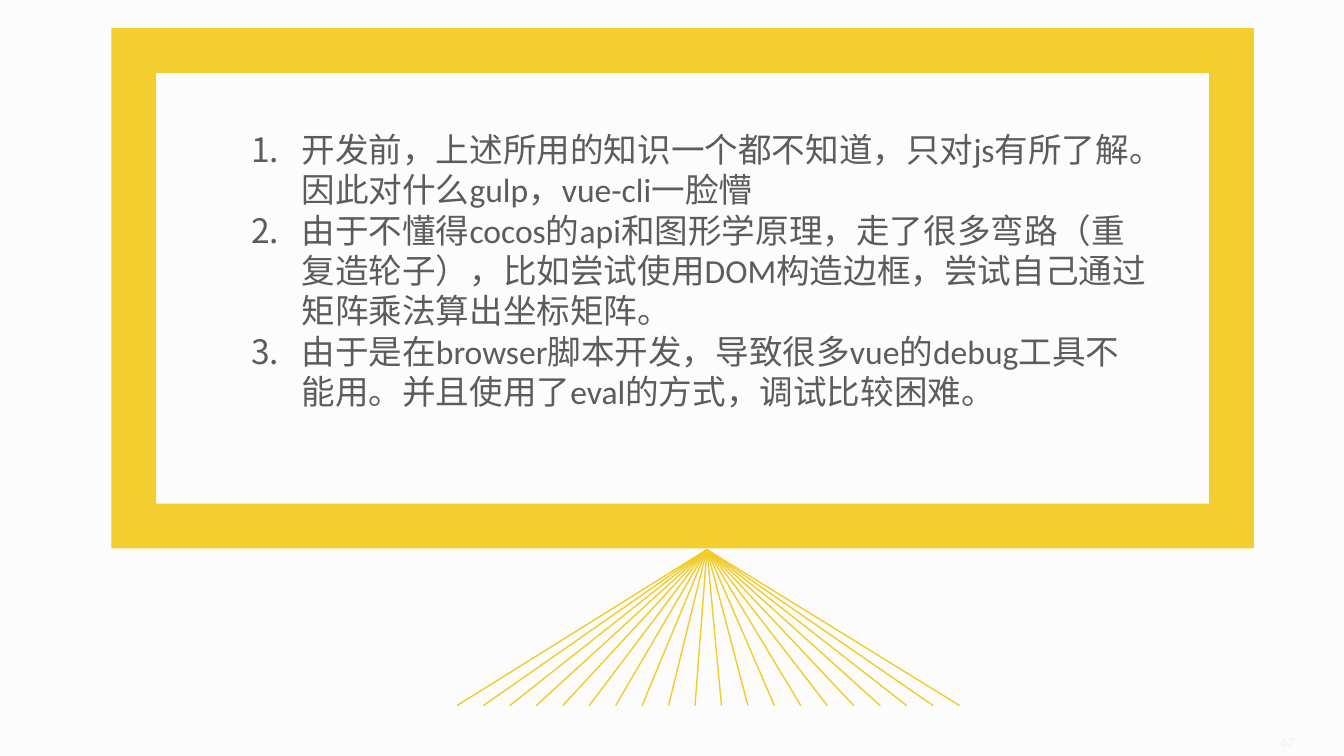
from dataclasses import dataclass

from lxml import etree
from pptx import Presentation
from pptx import util as u
from pptx.dml.color import RGBColor
from pptx.enum import lang, shapes, text
from pptx.oxml import ns


@dataclass(frozen=True)
class Theme:
    """Colours, font and type sizes of the deck."""
    paper: str = "FCFCFC"
    frame: str = "F3CE2F"
    ray: str = "F2CC29"
    ink: str = "5C5C5C"
    faint: str = "EBF5F3"
    font: str = "Calibri"
    body: float = 18
    number: float = 8
    ray_width: float = 0.75
    indent: float = 27


THEME = Theme()
LESSONS = [
    "开发前，上述所用的知识一个都不知道，只对js有所了解。因此对什么gulp，vue-cli一脸懵",
    "由于不懂得cocos的api和图形学原理，走了很多弯路（重复造轮子），比如尝试使用DOM构造边框，尝试自己通过矩阵乘法算出坐标矩阵。",
    "由于是在browser脚本开发，导致很多vue的debug工具不能用。并且使用了eval的方式，调试比较困难。",
]


def colour(value):
    """Turn a hex string into a colour."""
    return RGBColor.from_string(value)


def inches(*values):
    """Turn numbers into lengths."""
    return [u.Inches(value) for value in values]


def write_paragraph(para, content, *, size, ink, align=None, numbered=False):
    """Fill one paragraph, with automatic numbering if asked."""
    para.text = content
    if align is not None:
        para.alignment = align
    if numbered:
        props = para._p.get_or_add_pPr()
        props.set("marL", str(u.Pt(THEME.indent)))
        props.set("indent", str(-u.Pt(THEME.indent)))
        props.set("hangingPunct", "1")
        etree.SubElement(props, ns.qn("a:buFont"), typeface="+mj-lt")
        etree.SubElement(props, ns.qn("a:buAutoNum"), type="arabicPeriod")
    for span in para.runs:
        span.font.name = THEME.font
        span.font.size = u.Pt(size)
        span.font.color.rgb = colour(ink)
        span.font.language_id = lang.MSO_LANGUAGE_ID.SIMPLIFIED_CHINESE


def add_rays(page, left, top, width, height, count=20, apex=1.86):
    """Draw evenly spaced rays from the base of the box to its apex."""
    group = page.shapes.add_group_shape()
    for index in range(count):
        foot = left + width * index / (count - 1)
        ray = group.shapes.add_connector(
            shapes.MSO_CONNECTOR.STRAIGHT,
            *inches(foot, top + height, left + apex, top))
        ray.line.color.rgb = colour(THEME.ray)
        ray.line.width = u.Pt(THEME.ray_width)
        etree.SubElement(ray._element.spPr, ns.qn("a:effectLst"))


def add_board(page, left, top, width, height):
    """Draw the framed board with its numbered lessons."""
    frame = page.shapes.add_shape(
        shapes.MSO_SHAPE.FRAME, *inches(left, top, width, height))
    frame.adjustments[0] = 0.086
    frame.shadow.inherit = False
    frame.fill.solid()
    frame.fill.fore_color.rgb = colour(THEME.frame)
    frame.line.fill.background()

    box = page.shapes.add_textbox(*inches(left + 0.94, top + 0.7, width - 1.64, 2.22))
    box.text_frame.word_wrap = True
    box.text_frame.auto_size = text.MSO_AUTO_SIZE.SHAPE_TO_FIT_TEXT
    for index, lesson in enumerate(LESSONS):
        para = box.text_frame.add_paragraph() if index else box.text_frame.paragraphs[0]
        write_paragraph(para, lesson, size=THEME.body, ink=THEME.ink, numbered=True)


def add_page_number(page, number, left, top, width, height):
    """Centre the page number in its box."""
    box = page.shapes.add_textbox(*inches(left, top, width, height))
    box.text_frame.word_wrap = True
    box.text_frame.vertical_anchor = text.MSO_ANCHOR.MIDDLE
    write_paragraph(box.text_frame.paragraphs[0], number, size=THEME.number,
                    ink=THEME.faint, align=text.PP_ALIGN.CENTER)


def main():
    """Build and save the deck."""
    deck = Presentation()
    deck.slide_width, deck.slide_height = inches(10, 10 * 9 / 16)
    page = deck.slides.add_slide(deck.slide_layouts[6])
    page.background.fill.solid()
    page.background.fill.fore_color.rgb = colour(THEME.paper)
    add_page_number(page, "47", 9.18, 5.33, 0.79, 0.39)
    add_rays(page, 3.4, 4.09, 3.74, 1.16)
    add_board(page, 0.83, 0.21, 8.5, 3.87)
    deck.save("out.pptx")


if __name__ == "__main__":
    main()
